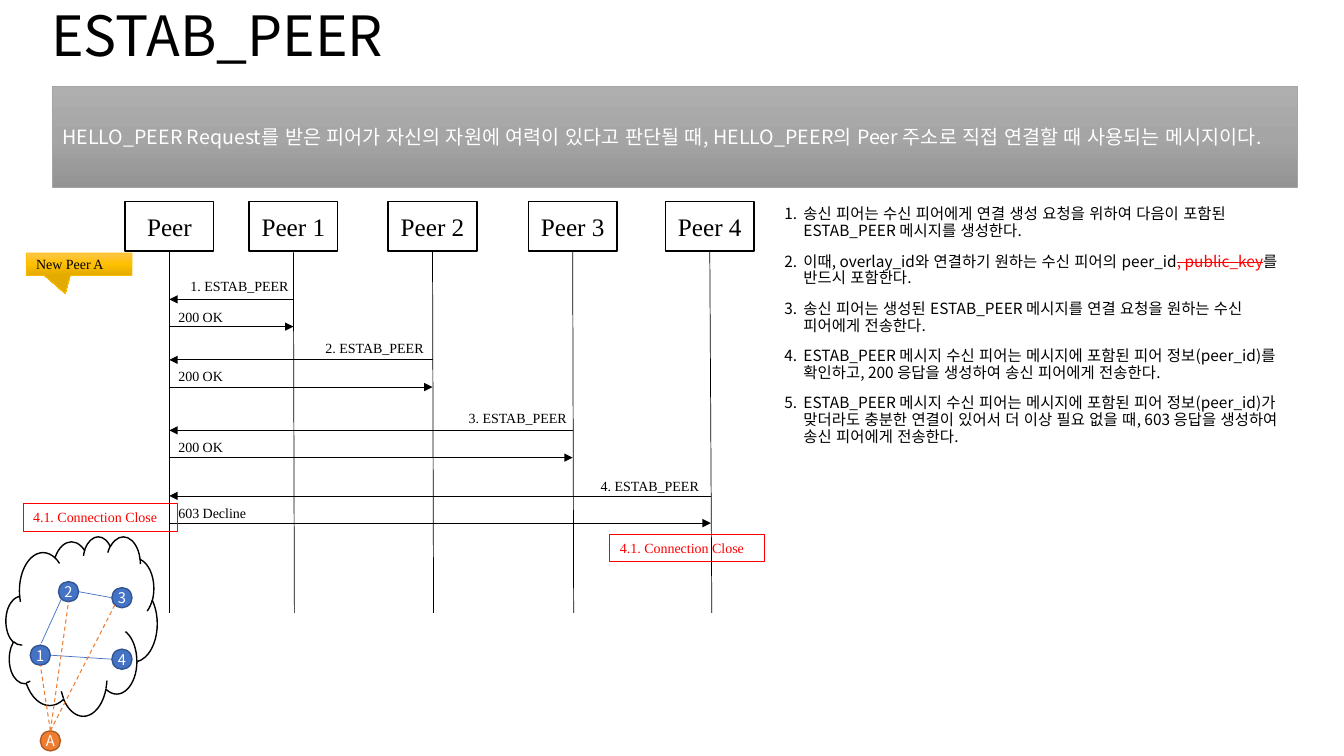
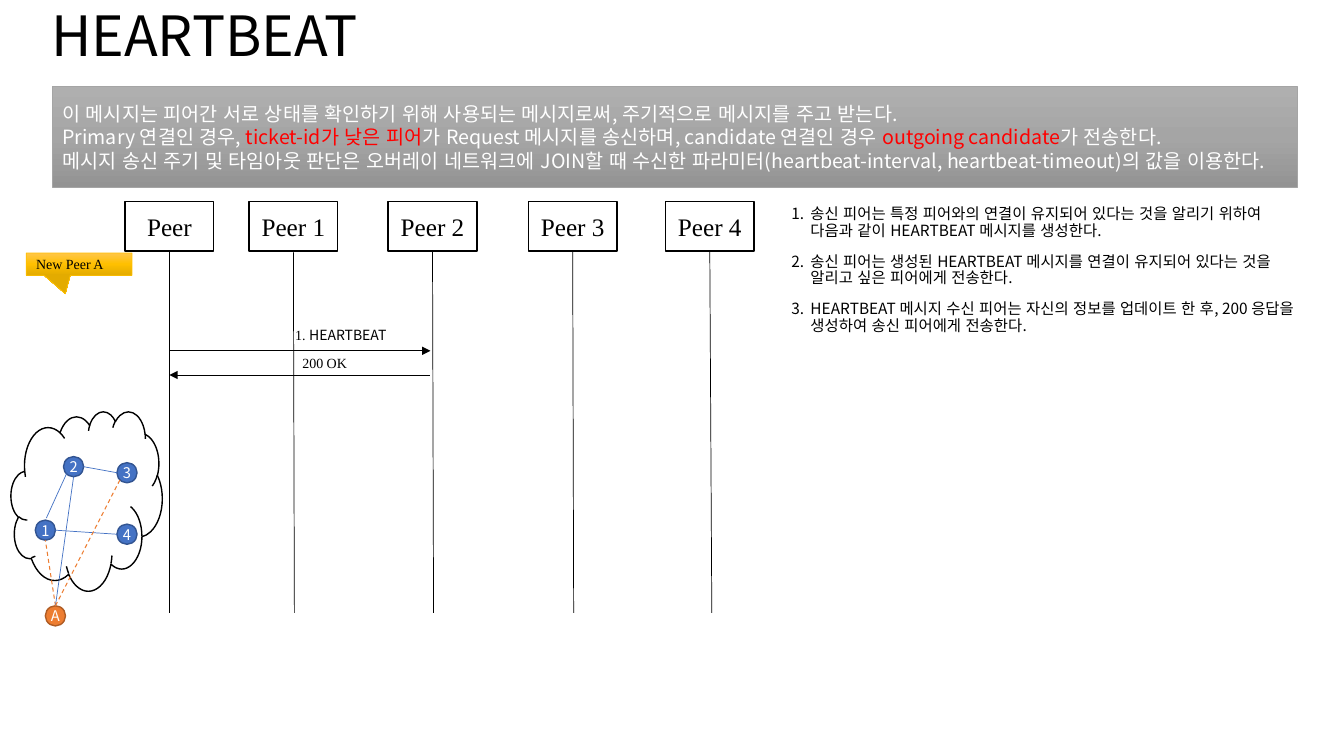
from copy import deepcopy
from dataclasses import dataclass

from lxml.etree import SubElement
from pptx import Presentation
from pptx.dml.color import RGBColor
from pptx.enum.dml import MSO_LINE_DASH_STYLE as Dash
from pptx.enum.lang import MSO_LANGUAGE_ID as Language
from pptx.enum.shapes import MSO_CONNECTOR as Connector, MSO_SHAPE as Shape
from pptx.enum.text import MSO_ANCHOR as Anchor, PP_ALIGN as Align
from pptx.oxml.ns import qn
from pptx.util import Inches, Pt


@dataclass(frozen=True)
class Theme:
    """Colours, fonts and type sizes of the deck."""
    ink: str = "000000"
    paper: str = "FFFFFF"
    alert: str = "FF0000"
    peer: str = "4472C4"
    peer_edge: str = "325491"
    newcomer: str = "ED7D31"
    newcomer_edge: str = "AF5C24"
    band: tuple = ("AFAFAF", "A5A5A5", "939393")
    gold: tuple = ("FFC64B", "FFC000", "E3AB00")
    sans: str = "Noto Sans CJK KR"
    serif: str = "Times New Roman"
    title: float = 39.6
    heading: float = 18
    summary: float = 14
    body: float = 11
    node: float = 10.5
    label: float = 10


THEME = Theme()
PEERS = [("Peer", 1.24, 0), ("Peer 1", 2.47, 0.01), ("Peer 2", 3.85, 0.01),
         ("Peer 3", 5.24, 0.01), ("Peer 4", 6.6, 0.02)]
HOME = 1.68
NODES = [("1", 0.24, 1.08), ("2", 0.52, 0.45), ("3", 1.05, 0.51), ("4", 1.05, 1.12)]
PEER_LINKS = [((1.05, 0.61), (0.72, 0.55)), ((0.55, 0.62), (0.35, 1.06)),
              ((1.05, 1.22), (0.44, 1.18))]
NEWCOMER_LINKS = {"1": (0.34, 1.28), "2": (0.62, 0.65), "3": (1.08, 0.68)}


class ProtocolDeck:
    """Draws protocol slides in one theme, one element per method."""

    def __init__(self, theme):
        self.theme = theme
        self.deck = Presentation()
        self.deck.slide_width, self.deck.slide_height = Inches(13.33), Inches(7.5)
        self.slide = None

    def start(self, title):
        self.slide = self.deck.slides.add_slide(self.deck.slide_layouts[6])
        self.text((0.41, 0.02, 12.47, 0.72), title, self.theme.title, self.theme.sans,
                  spacing={"line_spacing": 0.9}, vertical_anchor=Anchor.MIDDLE)

    def typeset(self, frame, content, size, face, color=None, spacing=None, **layout):
        for name, value in {"word_wrap": True, **layout}.items():
            setattr(frame, name, value)
        paragraphs = [content] if isinstance(content, str) else content
        for index, pieces in enumerate(paragraphs):
            paragraph = frame.add_paragraph() if index else frame.paragraphs[0]
            for name, value in (spacing or {}).items():
                if index or name != "space_before":
                    setattr(paragraph, name, value)
            for piece in [pieces] if isinstance(pieces, str) else pieces:
                words, special = (piece, {}) if isinstance(piece, str) else piece
                run = paragraph.add_run()
                run.text = words
                self.style(run, **{"size": size, "face": face,
                                   "color": color or self.theme.ink, **special})

    def style(self, run, size, face, color, strike=False):
        values = {"size": Pt(size), "name": face, "language_id": Language.KOREAN}
        for name, value in values.items():
            setattr(run.font, name, value)
        run.font.color.rgb = RGBColor.from_string(color)
        properties = run._r.get_or_add_rPr()
        SubElement(properties, qn("a:ea")).set("typeface", face)
        if strike:
            properties.set("strike", "sngStrike")

    def text(self, place, content, size, face, **options):
        box = self.slide.shapes.add_textbox(*map(Inches, place))
        self.typeset(box.text_frame, content, size, face, **options)
        return box

    def shape(self, kind, place, edge, width, fill=None):
        shape = self.slide.shapes.add_shape(kind, *map(Inches, place))
        shape.shadow.inherit = False
        shape.line.color.rgb = RGBColor.from_string(edge)
        shape.line.width = Pt(width)
        if isinstance(fill, tuple):
            self.shade(shape, fill)
        elif fill:
            shape.fill.solid()
            shape.fill.fore_color.rgb = RGBColor.from_string(fill)
        else:
            shape.fill.background()
        return shape

    def shade(self, shape, colors):
        shape.fill.gradient()
        shape.fill.gradient_angle = 270
        stops = shape._element.spPr.find(".//" + qn("a:gsLst"))
        stops.insert(1, deepcopy(stops[0]))
        for stop, position, color in zip(shape.fill.gradient_stops, (0, 0.5, 1), colors):
            stop.position = position
            stop.color.rgb = RGBColor.from_string(color)

    def line(self, start, end, color=None, width=0.5, dashed=False, arrow=None):
        line = self.slide.shapes.add_connector(
            Connector.STRAIGHT, *map(Inches, (*start, *end)))
        line.line.color.rgb = RGBColor.from_string(color or self.theme.ink)
        line.line.width = Pt(width)
        if dashed:
            line.line.dash_style = Dash.DASH
        properties = line._element.spPr
        if arrow:
            SubElement(properties.find(qn("a:ln")), qn(f"a:{arrow}")).set("type", "triangle")
        SubElement(properties, qn("a:effectLst"))

    def summary(self, content):
        band = self.shape(Shape.RECTANGLE, (0.52, 0.86, 12.35, 1),
                          self.theme.band[1], 0.5, self.theme.band)
        self.typeset(band.text_frame, content, self.theme.summary, self.theme.sans,
                     self.theme.paper, {"alignment": Align.LEFT},
                     vertical_anchor=Anchor.MIDDLE)

    def steps(self, left, content):
        box = self.text((left, 2, 5.31, 4.76), content, self.theme.body, self.theme.sans,
                        spacing={"line_spacing": 0.9, "space_before": Pt(10)})
        for paragraph in box.text_frame.paragraphs:
            properties = paragraph._p.get_or_add_pPr()
            properties.set("marL", str(Inches(0.19)))
            properties.set("indent", str(Inches(-0.19)))
            SubElement(properties, qn("a:buAutoNum")).set("type", "arabicPeriod")

    def lifelines(self):
        for name, left, lean in PEERS:
            head = self.shape(Shape.RECTANGLE, (left, 2, 0.88, 0.49), self.theme.ink, 1)
            self.typeset(head.text_frame, name, self.theme.heading, self.theme.serif,
                         spacing={"alignment": Align.CENTER}, vertical_anchor=Anchor.MIDDLE)
            center = left + 0.44
            self.line((center, 2.49), (center + lean, 6.08))
        callout = self.shape(Shape.RECTANGULAR_CALLOUT, (0.26, 2.51, 1.05, 0.22),
                             self.theme.gold[1], 0.5, self.theme.gold)
        callout.adjustments[0], callout.adjustments[1] = -0.13, 1.34
        self.typeset(callout.text_frame, "New Peer A", self.theme.label, self.theme.serif,
                     spacing={"alignment": Align.LEFT}, vertical_anchor=Anchor.MIDDLE)

    def message(self, far, level, arrow, content, left, top, width):
        self.line((HOME, level), (far, level), arrow=arrow)
        self.text((left, top, width, 0.27), content, self.theme.label, self.theme.serif)

    def request(self, far, level, content, left, top, arrow="headEnd"):
        self.message(far, level, arrow, content, left, top, 1.76)

    def reply(self, far, level, content, top, left=1.67, arrow="tailEnd"):
        self.message(far, level, arrow, content, left, top, 1.11)

    def closing(self, left, top):
        box = self.shape(Shape.RECTANGLE, (left, top, 1.53, 0.27), self.theme.alert, 0.75)
        self.typeset(box.text_frame, "4.1. Connection Close", self.theme.label,
                     self.theme.serif, self.theme.alert, {"alignment": Align.LEFT},
                     vertical_anchor=Anchor.TOP)

    def node(self, name, left, top, fill, edge):
        dot = self.shape(Shape.OVAL, (left, top, 0.2, 0.2), edge, 1, fill)
        margins = dict.fromkeys(
            ("margin_left", "margin_right", "margin_top", "margin_bottom"), 0)
        self.typeset(dot.text_frame, name, self.theme.node, self.theme.sans,
                     self.theme.paper, {"alignment": Align.CENTER},
                     vertical_anchor=Anchor.MIDDLE, **{**margins, "word_wrap": False})

    def network(self, left, top, connected=()):
        def at(point):
            return left + point[0], top + point[1]

        theme = self.theme
        self.shape(Shape.CLOUD, (left, top, 1.5, 1.78), theme.ink, 1, theme.paper)
        for name, *offset in NODES:
            self.node(name, *at(offset), theme.peer, theme.peer_edge)
        for start, end in PEER_LINKS:
            self.line(at(start), at(end), theme.peer)
        self.node("A", *at((0.34, 1.93)), theme.newcomer, theme.newcomer_edge)
        for name, end in NEWCOMER_LINKS.items():
            joined = name in connected
            self.line(at((0.44, 1.93)), at(end), theme.peer if joined else theme.newcomer,
                      0.5 if joined else 0.75, dashed=not joined)


def estab_peer(deck):
    deck.start("ESTAB_PEER")
    deck.steps(7.68, [
        "송신 피어는 수신 피어에게 연결 생성 요청을 위하여 다음이 포함된 ESTAB_PEER 메시지를 생성한다.",
        ["이때, overlay_id와 연결하기 원하는 수신 피어의 peer_id",
         (", public_key", {"color": THEME.alert, "strike": True}), "를 반드시 포함한다."],
        "송신 피어는 생성된 ESTAB_PEER 메시지를 연결 요청을 원하는 수신 피어에게 전송한다.",
        "ESTAB_PEER 메시지 수신 피어는 메시지에 포함된 피어 정보(peer_id)를 확인하고, "
        "200 응답을 생성하여 송신 피어에게 전송한다.",
        "ESTAB_PEER 메시지 수신 피어는 메시지에 포함된 피어 정보(peer_id)가 맞더라도 "
        "충분한 연결이 있어서 더 이상 필요 없을 때, 603 응답을 생성하여 송신 피어에게 전송한다.",
    ])
    deck.lifelines()
    exchanges = [(2.91, 2.97, 1.79, 2.7, "200 OK", 3.01),
                 (4.29, 3.57, 3.13, 3.32, "200 OK", 3.6),
                 (5.68, 4.27, 4.55, 4.01, "200 OK", 4.3),
                 (7.05, 4.92, 5.86, 4.69, "603 Decline", 4.96)]
    for number, (far, level, left, top, answer, answer_top) in enumerate(exchanges, 1):
        deck.request(far, level, f"{number}. ESTAB_PEER", left, top)
        deck.reply(far, level + 0.27, answer, answer_top)
    deck.network(0.06, 5.32)
    deck.summary("HELLO_PEER Request를 받은 피어가 자신의 자원에 여력이 있다고 판단될 때, "
                 "HELLO_PEER의 Peer 주소로 직접 연결할 때 사용되는 메시지이다.")
    deck.closing(6.05, 5.3)
    deck.closing(0.23, 5)


def heartbeat(deck):
    deck.start("HEARTBEAT")
    deck.steps(7.75, [
        "송신 피어는 특정 피어와의 연결이 유지되어 있다는 것을 알리기 위하여 "
        "다음과 같이 HEARTBEAT 메시지를 생성한다.",
        "송신 피어는 생성된 HEARTBEAT 메시지를 연결이 유지되어 있다는 것을 "
        "알리고 싶은 피어에게 전송한다.",
        "HEARTBEAT 메시지 수신 피어는 자신의 정보를 업데이트 한 후, 200 응답을 생성하여 "
        "송신 피어에게 전송한다.",
    ])
    deck.lifelines()
    deck.network(0.11, 4.08, connected="2")
    deck.request(4.27, 3.48, [["1. ", ("HEARTBEAT", {"face": THEME.sans})]],
                 2.83, 3.19, arrow="tailEnd")
    deck.reply(4.27, 3.72, "200 OK", 3.47, left=2.9, arrow="headEnd")
    alert = {"color": THEME.alert}
    deck.summary([
        "이 메시지는 피어간 서로 상태를 확인하기 위해 사용되는 메시지로써, "
        "주기적으로 메시지를 주고 받는다.",
        ["Primary 연결인 경우, ", ("ticket-id가 낮은 피어", alert),
         "가 Request 메시지를 송신하며, candidate 연결인 경우 ",
         ("outgoing candidate", alert), "가 전송한다."],
        "메시지 송신 주기 및 타임아웃 판단은 오버레이 네트워크에 JOIN할 때 수신한 "
        "파라미터(heartbeat-interval, heartbeat-timeout)의 값을 이용한다.",
    ])


def main():
    protocol = ProtocolDeck(THEME)
    estab_peer(protocol)
    heartbeat(protocol)
    protocol.deck.save("out.pptx")


if __name__ == "__main__":
    main()
